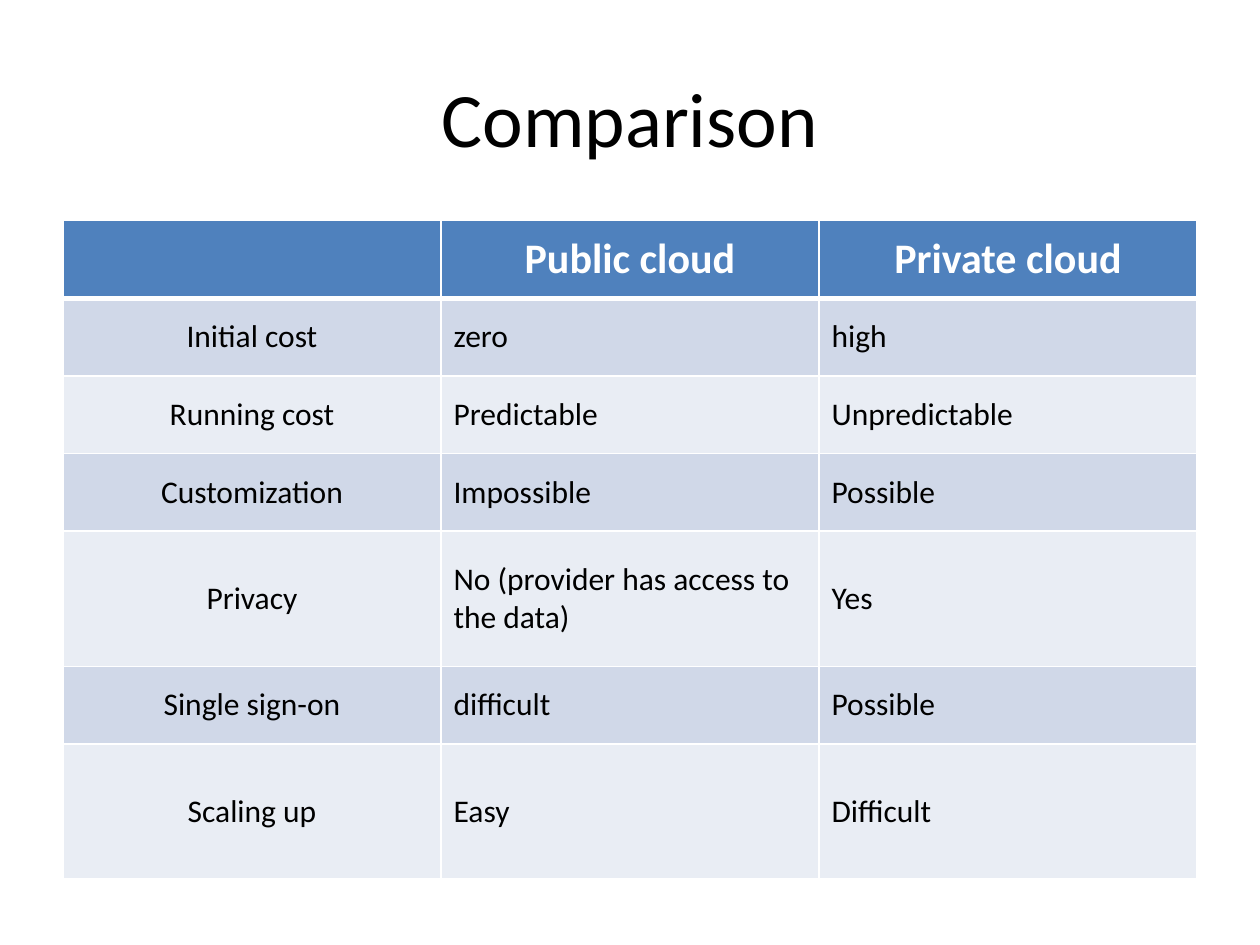
from lxml import etree
from pptx import Presentation
from pptx.dml.color import RGBColor
from pptx.enum import text
from pptx.oxml import ns
from pptx.util import Pt

FONT = "Calibri"
HEADER_FILL = "4F81BD"
BAND_FILLS = ["D0D8E8", "E9EDF4"]
ROWS = [
    ("", "Public cloud", "Private cloud"),
    ("Initial cost", "zero", "high"),
    ("Running cost", "Predictable", "Unpredictable"),
    ("Customization", "Impossible", "Possible"),
    ("Privacy", "No (provider has access to the data)", "Yes"),
    ("Single sign-on", "difficult", "Possible"),
    ("Scaling up", "Easy", "Difficult"),
]
SHORT_ROW, TALL_ROW = 44.4, 77.2
TALL_ROWS = ("Privacy", "Scaling up")


def color(value):
    return RGBColor.from_string(value)


def format_paragraph(p, size, hex_color, align, bold=False):
    p.alignment = align
    p.font.name = FONT
    p.font.size = Pt(size)
    p.font.bold = bold
    p.font.color.rgb = color(hex_color)


def set_borders(cell, widths):
    tc_pr = cell._tc.get_or_add_tcPr()
    for side, width in zip("LRTB", widths):
        line = etree.SubElement(tc_pr, ns.qn("a:ln" + side), w=str(Pt(width)))
        fill = etree.SubElement(line, ns.qn("a:solidFill"))
        etree.SubElement(fill, ns.qn("a:srgbClr"), val="FFFFFF")


def add_title(s, x, y, w, h):
    sp = s.shapes.title
    sp.left, sp.top, sp.width, sp.height = Pt(x), Pt(y), Pt(w), Pt(h)
    tf = sp.text_frame
    tf.text = "Comparison"
    tf.vertical_anchor = text.MSO_ANCHOR.MIDDLE
    format_paragraph(tf.paragraphs[0], 44, "000000", text.PP_ALIGN.CENTER)


def add_comparison(s, x, y, w):
    heights = [TALL_ROW if row[0] in TALL_ROWS else SHORT_ROW for row in ROWS]
    columns = len(ROWS[0])
    table = s.shapes.add_table(
        len(ROWS), columns, Pt(x), Pt(y), Pt(w), Pt(sum(heights))).table
    for column in table.columns:
        column.width = Pt(w / columns)
    for i, (values, height) in enumerate(zip(ROWS, heights)):
        table.rows[i].height = Pt(height)
        header = i == 0
        for j, value in enumerate(values):
            cell = table.cell(i, j)
            cell.text = value
            cell.vertical_anchor = text.MSO_ANCHOR.MIDDLE
            set_borders(cell, (1, 1, 3 if i == 1 else 1, 3 if header else 1))
            cell.fill.solid()
            cell.fill.fore_color.rgb = color(
                HEADER_FILL if header else BAND_FILLS[(i - 1) % 2])
            centered = header or j == 0
            format_paragraph(
                cell.text_frame.paragraphs[0],
                24 if header else 18,
                "FFFFFF" if header else "000000",
                text.PP_ALIGN.CENTER if centered else text.PP_ALIGN.LEFT,
                header)


prs = Presentation()
prs.slide_width, prs.slide_height = Pt(720), Pt(540)
s = prs.slides.add_slide(prs.slide_layouts[5])
add_title(s, 36, 21.6, 648, 90)
add_comparison(s, 36, 126, 648)
prs.save("out.pptx")
